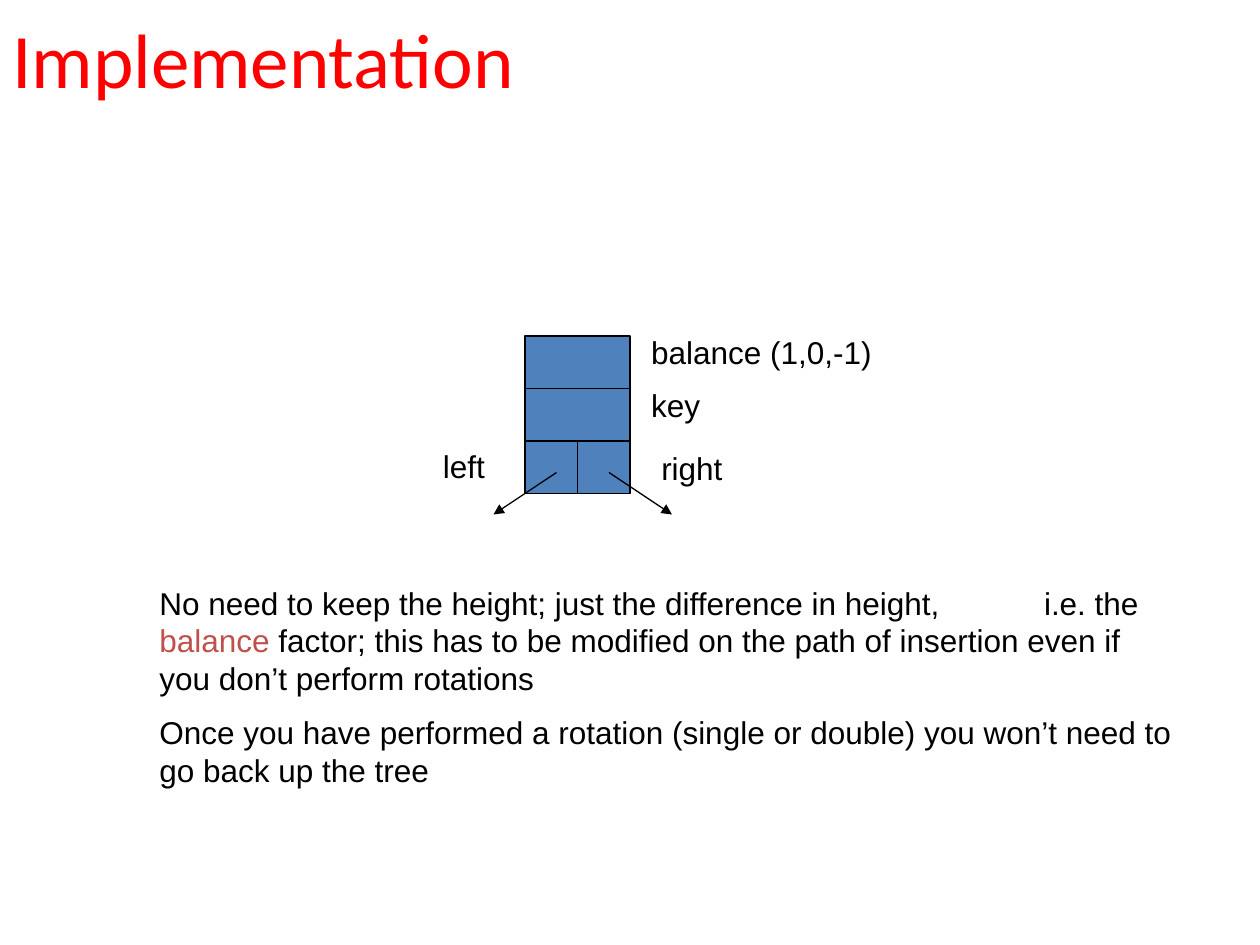
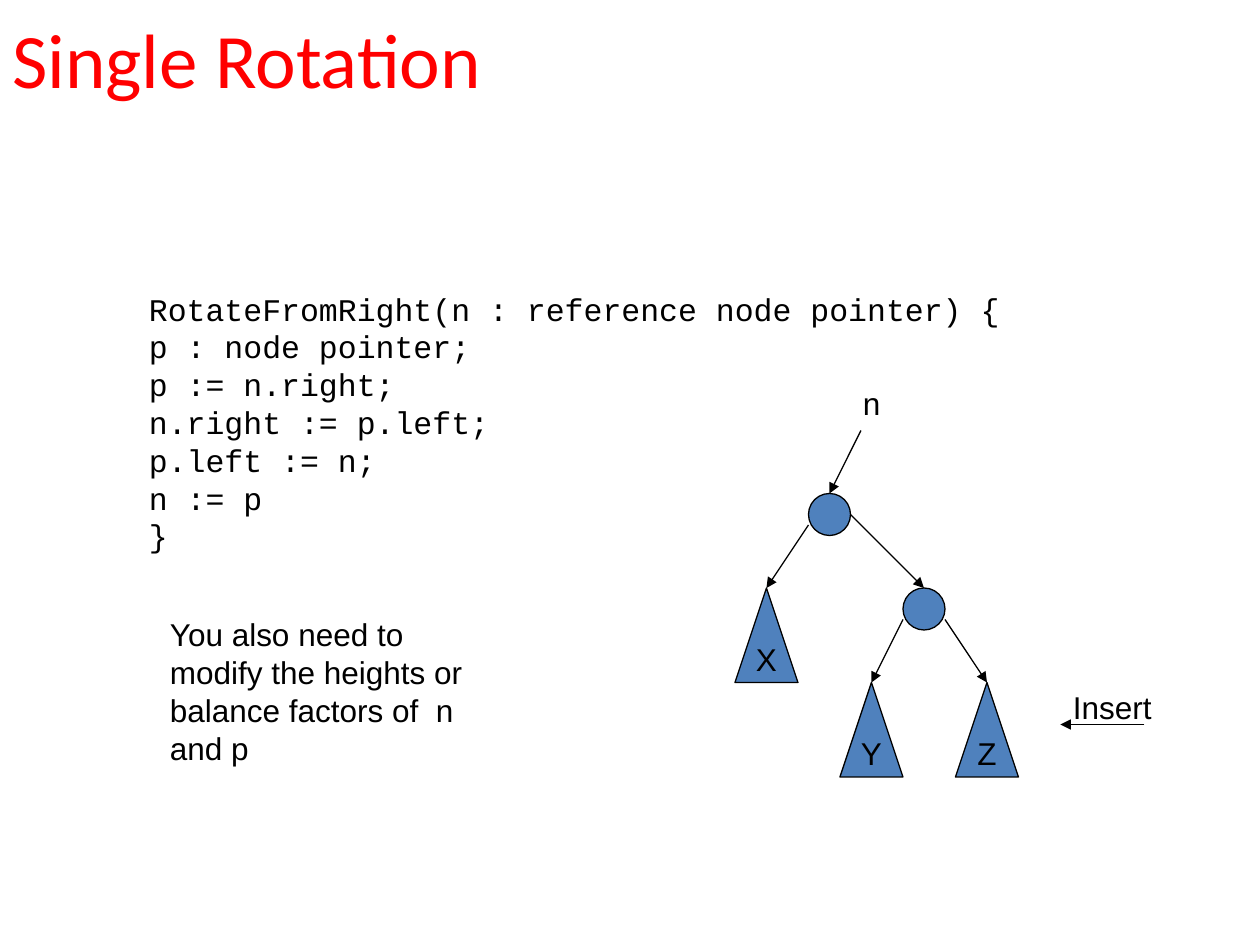
from dataclasses import dataclass

from lxml import etree
from pptx import Presentation
from pptx import util as u
from pptx.dml.color import RGBColor
from pptx.enum import shapes, text
from pptx.oxml.ns import qn

COLUMNS, ROWS = 120, 90
BLACK, RED, BLUE, ACCENT = "000000", "FF0000", "4F81BD", "C0504D"
BODY, HEADING, CODE = "Arial", "Calibri", "Courier New"
BODY_SIZE, HEADING_SIZE = 18, 44
OUTLINE = 0.75
LABEL_HEIGHT = 5.16
FIELD = 5
NODE = 4
SUBTREE_WIDTH, SUBTREE_HEIGHT = 6, 9
BRANCH_DROP = 3

deck = Presentation()
deck.slide_width, deck.slide_height = u.Inches(10), u.Inches(7.5)


@dataclass(frozen=True)
class Point:
    col: float
    row: float


@dataclass(frozen=True)
class Box:
    col: float
    row: float
    width: float
    height: float = LABEL_HEIGHT

    @property
    def right(self) -> float:
        return self.col + self.width

    @property
    def apex(self) -> Point:
        return Point(self.col + self.width / 2, self.row)


@dataclass(frozen=True)
class Phrase:
    content: str
    color: str = BLACK


@dataclass(frozen=True)
class Words:
    box: Box
    paragraphs: tuple[tuple[Phrase, ...], ...]
    wrap: bool = False
    font: str = BODY
    size: int = BODY_SIZE
    gap: int = 0
    tab: float = 0


@dataclass(frozen=True)
class Arrow:
    start: Point
    tip: Point


def rgb(code: str) -> RGBColor:
    return RGBColor.from_string(code)


def across(col: float) -> int:
    return round(deck.slide_width * col / COLUMNS)


def down(row: float) -> int:
    return round(deck.slide_height * row / ROWS)


def extent(box: Box) -> tuple[int, int, int, int]:
    return across(box.col), down(box.row), across(box.width), down(box.height)


def lines(*contents: str) -> tuple[tuple[Phrase, ...], ...]:
    return tuple((Phrase(content),) for content in contents)


def set_font(paragraph, font: str, size: int) -> None:
    paragraph.font.name = font
    paragraph.font.size = u.Pt(size)


def set_outline(line) -> None:
    line.color.rgb = rgb(BLACK)
    line.width = u.Pt(OUTLINE)


def add_tab_stop(paragraph, col: float) -> None:
    stops = etree.Element(qn("a:tabLst"))
    etree.SubElement(stops, qn("a:tab"), pos=str(across(col)), algn="l")
    paragraph.font._element.addprevious(stops)


def write(slide, words: Words):
    frame = slide.shapes.add_textbox(*extent(words.box)).text_frame
    frame.word_wrap = words.wrap
    frame.auto_size = text.MSO_AUTO_SIZE.SHAPE_TO_FIT_TEXT
    for index, phrases in enumerate(words.paragraphs):
        paragraph = frame.add_paragraph() if index else frame.paragraphs[0]
        set_font(paragraph, words.font, words.size)
        if index and words.gap:
            paragraph.space_before = u.Pt(words.gap)
        if words.tab:
            add_tab_stop(paragraph, words.tab)
        for phrase in phrases:
            run = paragraph.add_run()
            run.text = phrase.content
            run.font.color.rgb = rgb(phrase.color)
    return frame


def draw(slide, kind: shapes.MSO_SHAPE, box: Box, name: str = "") -> None:
    figure = slide.shapes.add_shape(kind, *extent(box))
    figure.shadow.inherit = False
    figure.fill.solid()
    figure.fill.fore_color.rgb = rgb(BLUE)
    set_outline(figure.line)
    if name:
        frame = figure.text_frame
        frame.word_wrap = False
        frame.vertical_anchor = text.MSO_ANCHOR.MIDDLE
        label = frame.paragraphs[0]
        label.text = name
        label.alignment = text.PP_ALIGN.CENTER
        set_font(label, BODY, BODY_SIZE)
        label.font.color.rgb = rgb(BLACK)


def point(slide, arrow: Arrow) -> None:
    link = slide.shapes.add_connector(
        shapes.MSO_CONNECTOR.STRAIGHT,
        across(arrow.start.col), down(arrow.start.row),
        across(arrow.tip.col), down(arrow.tip.row),
    )
    set_outline(link.line)
    outline = link._element.spPr.find(qn("a:ln"))
    etree.SubElement(outline, qn("a:tailEnd"), type="triangle")
    etree.SubElement(link._element.spPr, qn("a:effectLst"))


def titled_slide(title: str):
    slide = deck.slides.add_slide(deck.slide_layouts[6])
    heading = ((Phrase(title, RED),),)
    frame = write(slide, Words(Box(0, -2, 108, 15), heading, True, HEADING, HEADING_SIZE))
    frame.auto_size = text.MSO_AUTO_SIZE.NONE
    frame.vertical_anchor = text.MSO_ANCHOR.MIDDLE
    return slide


def draw_record(slide, left: float, top: float) -> None:
    pointer_row = top + 2 * FIELD
    for side, direction in enumerate((-1, 1)):
        pointer = Box(left + side * FIELD, pointer_row, FIELD, FIELD)
        draw(slide, shapes.MSO_SHAPE.RECTANGLE, pointer)
    for level in range(2):
        field = Box(left, top + level * FIELD, 2 * FIELD, FIELD)
        draw(slide, shapes.MSO_SHAPE.RECTANGLE, field)
    for side, direction in enumerate((-1, 1)):
        start = Point(left + side * FIELD + 3, pointer_row + 3)
        tip = Point(start.col + 6 * direction, start.row + 4)
        point(slide, Arrow(start, tip))


def implementation() -> None:
    slide = titled_slide("Implementation")
    draw_record(slide, left=50, top=32)
    field_labels = {
        "balance (1,0,-1)": Box(60.84, 31.15, 25.68),
        "key": Box(60.84, 36.15, 7.56),
        "right": Box(61.8, 42.15, 8.88),
        "left": Box(41, 42, 6.84),
    }
    for name, box in field_labels.items():
        write(slide, Words(box, lines(name)))
    height_note = (
        Phrase("No need to keep the height; just the difference in height,\ti.e. the "),
        Phrase("balance", ACCENT),
        Phrase(" factor; this has to be modified on the path of insertion"
               " even if you don’t perform rotations"),
    )
    rotation_note = (
        Phrase("Once you have performed a rotation (single or double)"
               " you won’t need to go back up the tree"),
    )
    write(slide, Words(Box(14, 55, 99, 23.16), (height_note, rotation_note),
                       wrap=True, gap=9, tab=84.25))


def draw_tree(slide) -> None:
    root, child = Box(77, 47, NODE, NODE), Box(86, 56, NODE, NODE)
    for node in (root, child):
        draw(slide, shapes.MSO_SHAPE.OVAL, node)
    x, y, z = (
        Box(col, row, SUBTREE_WIDTH, SUBTREE_HEIGHT)
        for col, row in ((70, 56), (80, 65), (91, 65))
    )
    for name, subtree in zip("XYZ", (x, y, z)):
        draw(slide, shapes.MSO_SHAPE.ISOSCELES_TRIANGLE, subtree, name)
    branches = (
        Arrow(Point(root.col, root.row + BRANCH_DROP), x.apex),
        Arrow(Point(root.right, root.row + NODE / 2), child.apex),
        Arrow(Point(child.col, child.row + BRANCH_DROP), y.apex),
        Arrow(Point(child.right, child.row + BRANCH_DROP), z.apex),
    )
    reference = Arrow(Point(82, 41), root.apex)
    insertion = Arrow(Point(109, 69), Point(101, 69))
    for arrow in (*branches, reference, insertion):
        point(slide, arrow)
    write(slide, Words(Box(81, 36, 4.32), lines("n")))
    write(slide, Words(Box(101, 64.9, 12), lines("Insert"), wrap=True))


def single_rotation() -> None:
    slide = titled_slide("Single Rotation")
    procedure = lines(
        "RotateFromRight(n : reference node pointer) {",
        "p : node pointer;",
        "p := n.right;",
        "n.right := p.left;",
        "p.left := n;",
        "n := p",
        "}",
    )
    write(slide, Words(Box(13, 27, 92.4, 29.16), procedure, font=CODE))
    draw_tree(slide)
    reminder = lines("You also need to modify the heights or balance factors of  n and p")
    write(slide, Words(Box(15, 58, 32, 17.16), reminder, wrap=True))


implementation()
single_rotation()
deck.save("out.pptx")
